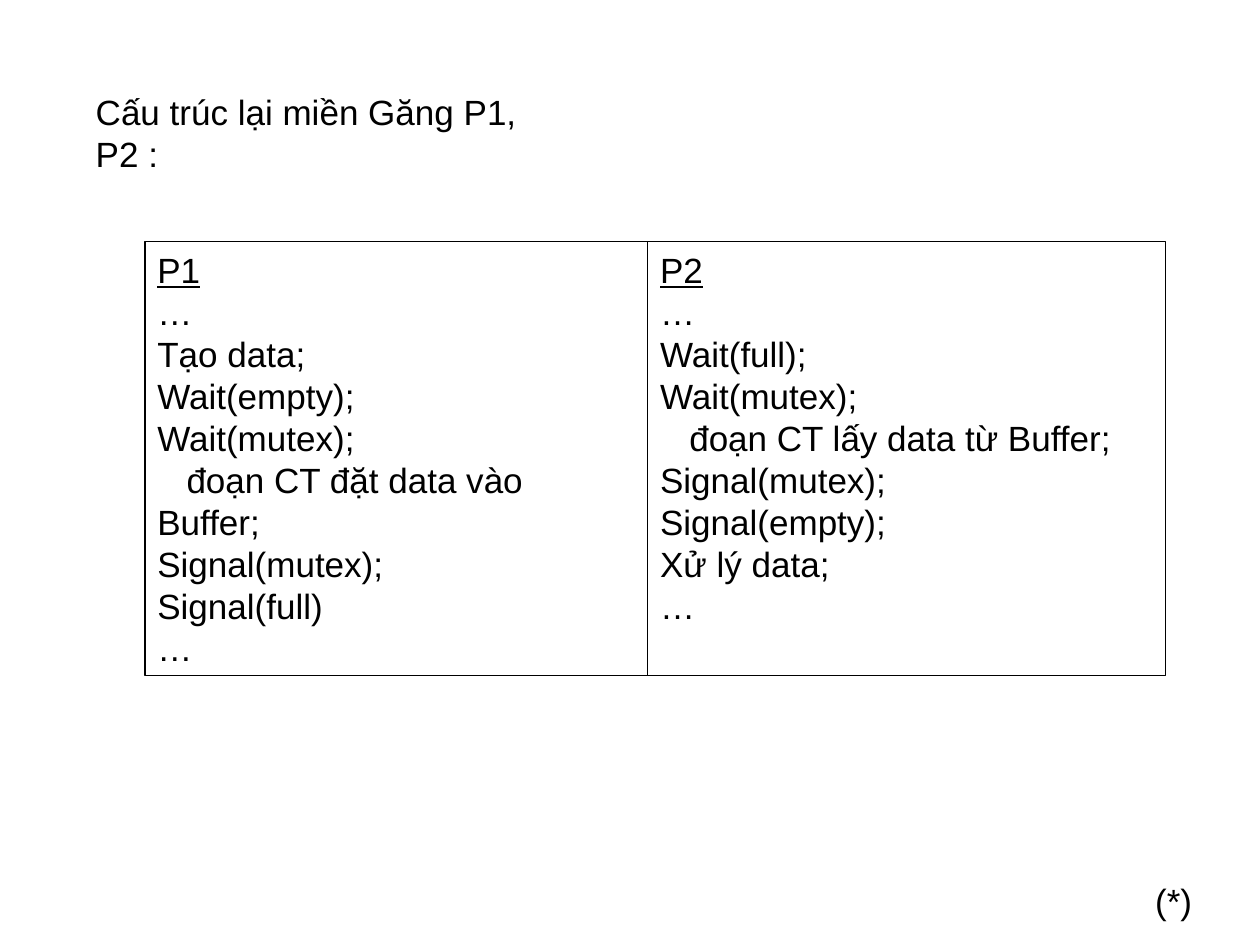
"""Build the slide that compares the critical sections of P1 and P2."""
from pptx import Presentation
from pptx.dml.color import RGBColor
from pptx.enum.shapes import MSO_SHAPE as Shape
from pptx.enum.text import MSO_ANCHOR as Anchor, MSO_AUTO_SIZE as Auto, PP_ALIGN as Align
from pptx.util import Pt

TITLE = "Cấu trúc lại miền Găng P1, P2 :"
MARK = "(*)"
CODE = [
    (287.3, ["P1", "…", "Tạo data;", "Wait(empty);", "Wait(mutex);",
             "\tđoạn CT đặt data vào Buffer;",
             "Signal(mutex);", "Signal(full)", "…"]),
    (295.9, ["P2", "…", "Wait(full);", "Wait(mutex);",
             "\tđoạn CT lấy data từ Buffer;",
             "Signal(mutex);", "Signal(empty);", "Xử lý data;", "…"]),
]
COLORS = {"ink": "000000"}
FONT, SIZE, INDENT = "Arial", 20, 16.7
LEFT, TOP, HIGH = 82.8, 138.2, 247.7
INK = RGBColor.from_string(COLORS["ink"])


def write(shape, lines, wrap=False, head=False):
    frame = shape.text_frame
    frame.word_wrap = wrap
    frame.auto_size = Auto.NONE
    frame.vertical_anchor = Anchor.TOP
    frame.margin_left = frame.margin_right = Pt(7.2)
    frame.margin_top = frame.margin_bottom = Pt(3.6)
    for row, line in enumerate(lines):
        para = frame.add_paragraph() if row else frame.paragraphs[0]
        para.alignment = Align.LEFT
        if line.startswith("\t"):
            props = para._p.get_or_add_pPr()
            props.set("marL", "0")
            props.set("indent", str(Pt(INDENT)))
        run = para.add_run()
        run.text = line.strip()
        font = run.font
        font.name, font.size, font.color.rgb = FONT, Pt(SIZE), INK
        if head and row == 0:
            font.underline = True


def add_code(slide, left, width, lines):
    box = slide.shapes.add_shape(Shape.RECTANGLE, Pt(left), Pt(TOP), Pt(width), Pt(HIGH))
    box.shadow.inherit = False
    box.fill.background()
    box.line.color.rgb = INK
    box.line.width = Pt(0.75)
    write(box, lines, wrap=True, head=True)


def main():
    deck = Presentation()
    deck.slide_width, deck.slide_height = Pt(720), Pt(540)
    slide = deck.slides.add_slide(deck.slide_layouts[5])
    title = slide.shapes.title
    title.left, title.top, title.width, title.height = map(Pt, (47.5, 48.2, 295.9, 31.7))
    write(title, [TITLE])
    left = LEFT
    for width, lines in CODE:
        add_code(slide, left, width, lines)
        left += width
    mark = slide.shapes.add_textbox(Pt(653), Pt(499), Pt(35.3), Pt(31.7))
    write(mark, [MARK])
    deck.save("out.pptx")


if __name__ == "__main__":
    main()
